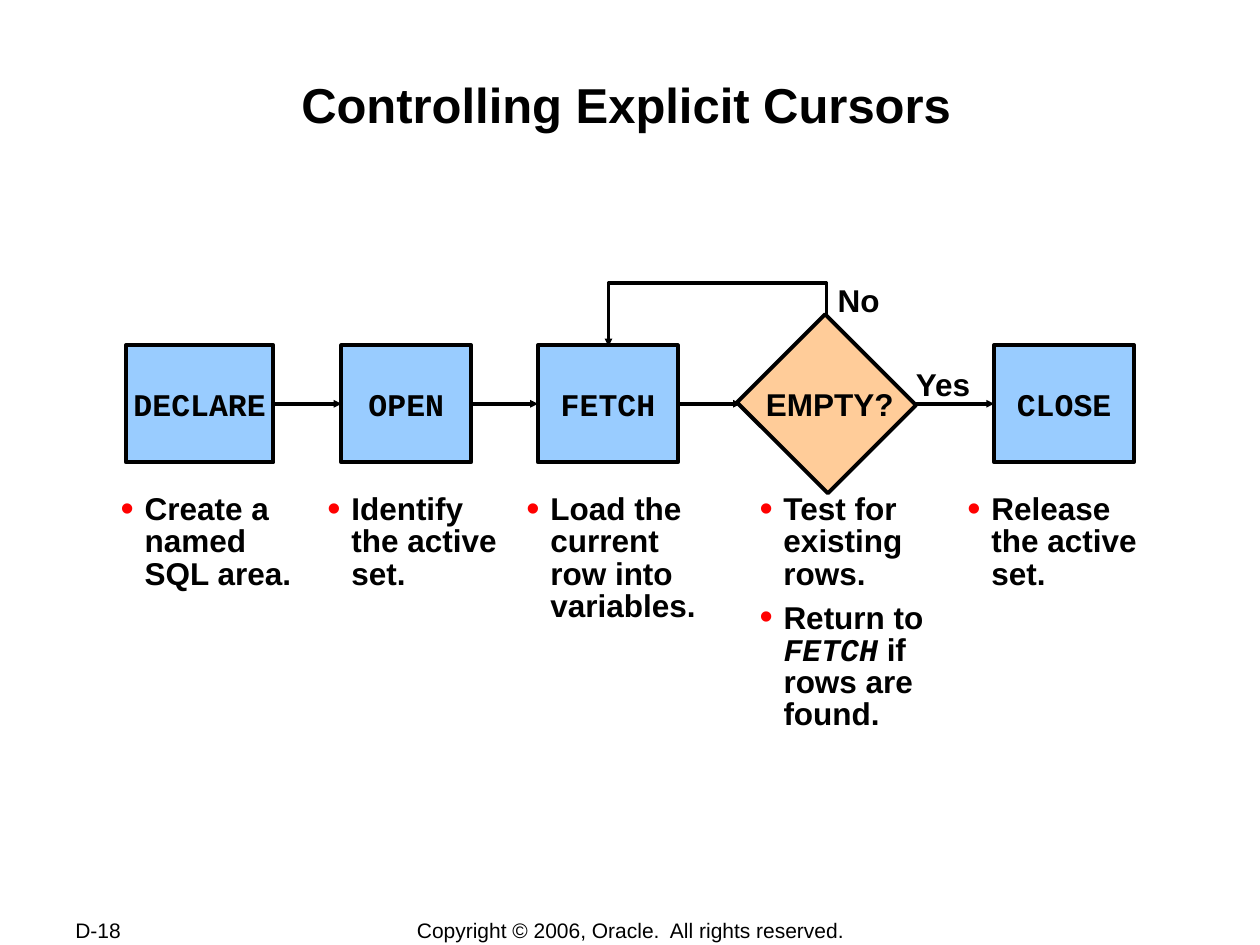
from lxml.etree import SubElement
from pptx import Presentation
from pptx.dml.color import RGBColor
from pptx.enum.shapes import MSO_CONNECTOR, MSO_SHAPE
from pptx.enum.text import MSO_ANCHOR, PP_ALIGN
from pptx.oxml.ns import qn
from pptx.util import Inches, Pt

BLACK = RGBColor(0x00, 0x00, 0x00)
BLUE = RGBColor(0x99, 0xCC, 0xFF)
ORANGE = RGBColor(0xFF, 0xCC, 0x99)
RED = RGBColor(0xFF, 0x00, 0x00)
SANS, MONO = "Arial", "Courier New"
TOP, RIGHT, LEFT = 0, 3, 1
BOX_TOP, BOX_HEIGHT = 2.74, 0.93
FLOW_Y = BOX_TOP + BOX_HEIGHT / 2
NOTE_TOP = 3.88

STEPS = [("DECLARE", 1, 1.17), ("OPEN", 2.71, 1.03),
         ("FETCH", 4.27, 1.11), ("CLOSE", 7.89, 1.11)]
NOTES = [("Create a named SQL area.", 0.86, 1.64),
         ("Identify\vthe active set.", 2.5, 1.69),
         ("Load the current\vrow into variables.", 4.08, 1.64),
         ("Test for existing rows.", 5.93, 1.56),
         ("Release\vthe active\vset.", 7.58, 1.6)]
LABELS = [("No", 6.55, 2.18, 0.54), ("EMPTY?", 5.98, 3.01, 1.22),
          ("Yes", 7.17, 2.85, 0.65)]


class FlowSlide:
    def __init__(self, slide, size=18, line_width=2.25):
        self.slide = slide
        self.size = size
        self.line_width = line_width

    def style_font(self, paragraph, name=SANS, size=None, bold=True):
        font = paragraph.font
        font.name, font.size, font.bold = name, Pt(size or self.size), bold
        font.color.rgb = BLACK

    def style_line(self, shape):
        shape.line.color.rgb = BLACK
        shape.line.width = Pt(self.line_width)

    def add_arrowhead(self, shape):
        SubElement(shape.line._get_or_add_ln(), qn("a:tailEnd"),
                   type="triangle", w="sm", len="sm")

    def text(self, words, left, top, width, height, wrap=True, margin=None,
             align=PP_ALIGN.LEFT, anchor=MSO_ANCHOR.TOP, **font):
        box = self.slide.shapes.add_textbox(
            Inches(left), Inches(top), Inches(width), Inches(height))
        frame = box.text_frame
        frame.word_wrap, frame.vertical_anchor = wrap, anchor
        if margin is not None:
            frame.margin_left = frame.margin_right = Inches(margin)
            frame.margin_top = frame.margin_bottom = Inches(margin)
        paragraph = frame.paragraphs[0]
        paragraph.text = words
        paragraph.alignment = align
        self.style_font(paragraph, **font)

    def note(self, left, top, width, height, words="", runs=()):
        """Add a bulleted note; runs are (text, font name, italic)."""
        box = self.slide.shapes.add_textbox(
            Inches(left), Inches(top), Inches(width), Inches(height))
        box.text_frame.word_wrap = True
        paragraph = box.text_frame.paragraphs[0]
        paragraph.text = words
        paragraph.line_spacing = 0.85
        properties = paragraph._p.get_or_add_pPr()
        properties.set("marL", str(Inches(0.19)))
        properties.set("indent", str(Inches(-0.19)))
        color = SubElement(properties, qn("a:buClr"))
        SubElement(color, qn("a:srgbClr"), val=str(RED))
        SubElement(properties, qn("a:buSzPct"), val="120000")
        SubElement(properties, qn("a:buFont"), typeface=SANS)
        SubElement(properties, qn("a:buChar"), char="•")
        self.style_font(paragraph)
        for text, name, italic in runs:
            run = paragraph.add_run()
            run.text = text
            run.font.name, run.font.italic = name, italic

    def box(self, left, top, width, height, fill, words="", rotation=0):
        shape = self.slide.shapes.add_shape(
            MSO_SHAPE.RECTANGLE, Inches(left), Inches(top),
            Inches(width), Inches(height))
        shape.shadow.inherit = False
        shape.rotation = rotation
        shape.fill.solid()
        shape.fill.fore_color.rgb = fill
        self.style_line(shape)
        if words:
            frame = shape.text_frame
            frame.word_wrap, frame.vertical_anchor = False, MSO_ANCHOR.MIDDLE
            paragraph = frame.paragraphs[0]
            paragraph.text = words
            paragraph.alignment = PP_ALIGN.CENTER
            self.style_font(paragraph, name=MONO)
        return shape

    def arrow(self, start_x, end_x, source=None, target=None):
        """Add a level arrow, joined to the boxes given at its ends."""
        connector = self.slide.shapes.add_connector(
            MSO_CONNECTOR.STRAIGHT, Inches(start_x), Inches(FLOW_Y),
            Inches(end_x), Inches(FLOW_Y))
        if source:
            connector.begin_connect(source, RIGHT)
        if target:
            connector.end_connect(target, LEFT)
        self.style_line(connector)
        self.add_arrowhead(connector)
        SubElement(connector._element.spPr, qn("a:effectLst"))

    def bent_arrow(self, points):
        corners = [(Inches(x), Inches(y)) for x, y in points]
        builder = self.slide.shapes.build_freeform(*corners[0])
        builder.add_line_segments(corners[1:], close=False)
        shape = builder.convert_to_shape()
        shape.shadow.inherit = False
        shape.fill.background()
        self.style_line(shape)
        self.add_arrowhead(shape)


def main():
    presentation = Presentation()
    presentation.slide_width, presentation.slide_height = Inches(10), Inches(7.5)
    flow = FlowSlide(presentation.slides.add_slide(presentation.slide_layouts[6]))

    flow.text("D-18", 0.5, 7.28, 1.06, 0.2, anchor=MSO_ANCHOR.MIDDLE,
              size=12, bold=False)
    flow.text("Copyright © 2006, Oracle.  All rights reserved.",
              2.76, 7.28, 4.49, 0.21, align=PP_ALIGN.CENTER,
              anchor=MSO_ANCHOR.MIDDLE, size=12, bold=False)
    flow.text("Controlling Explicit Cursors", 0.97, 0.58, 8, 0.96,
              margin=0.01, align=PP_ALIGN.CENTER, size=28)

    flow.bent_arrow([(6.56, 2.75), (6.56, 2.25), (4.83, 2.25), (4.83, 2.75)])
    declare, open_step, fetch, close = [
        flow.box(left, BOX_TOP, width, BOX_HEIGHT, BLUE, words)
        for words, left, width in STEPS]
    flow.arrow(2.17, 2.71, declare, open_step)
    flow.arrow(3.74, 4.27, open_step, fetch)
    flow.arrow(5.38, 5.88, source=fetch)
    flow.arrow(7.25, 7.89, target=close)
    flow.box(6.05, 2.71, 1.02, 0.99, ORANGE, rotation=45)

    for words, left, top, width in LABELS:
        flow.text(words, left, top, width, 0.4, wrap=False)
    for words, left, width in NOTES:
        flow.note(left, NOTE_TOP, width, 0.87, words)
    flow.note(5.93, 4.74, 1.82, 0.9, runs=[
        ("Return to ", SANS, False), ("FETCH", MONO, True),
        (" if rows are found.", SANS, False)])

    presentation.save("out.pptx")


if __name__ == "__main__":
    main()
